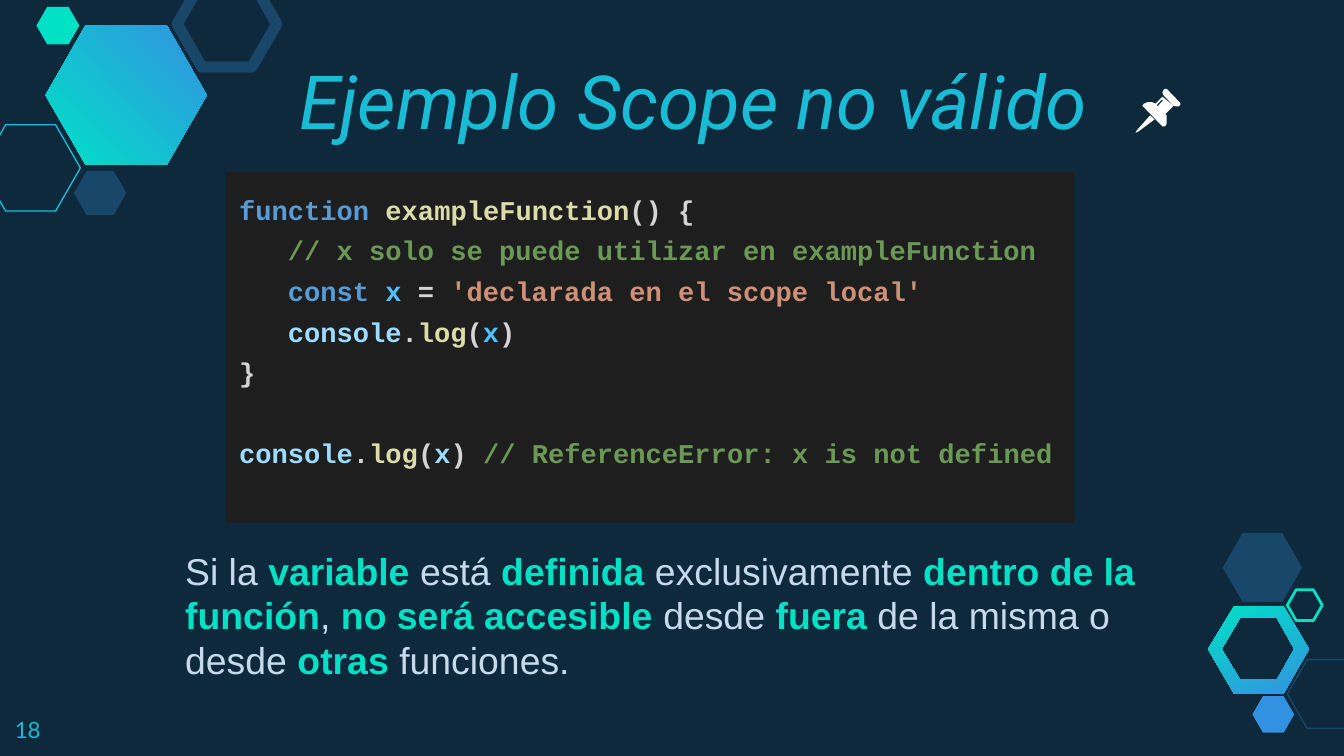
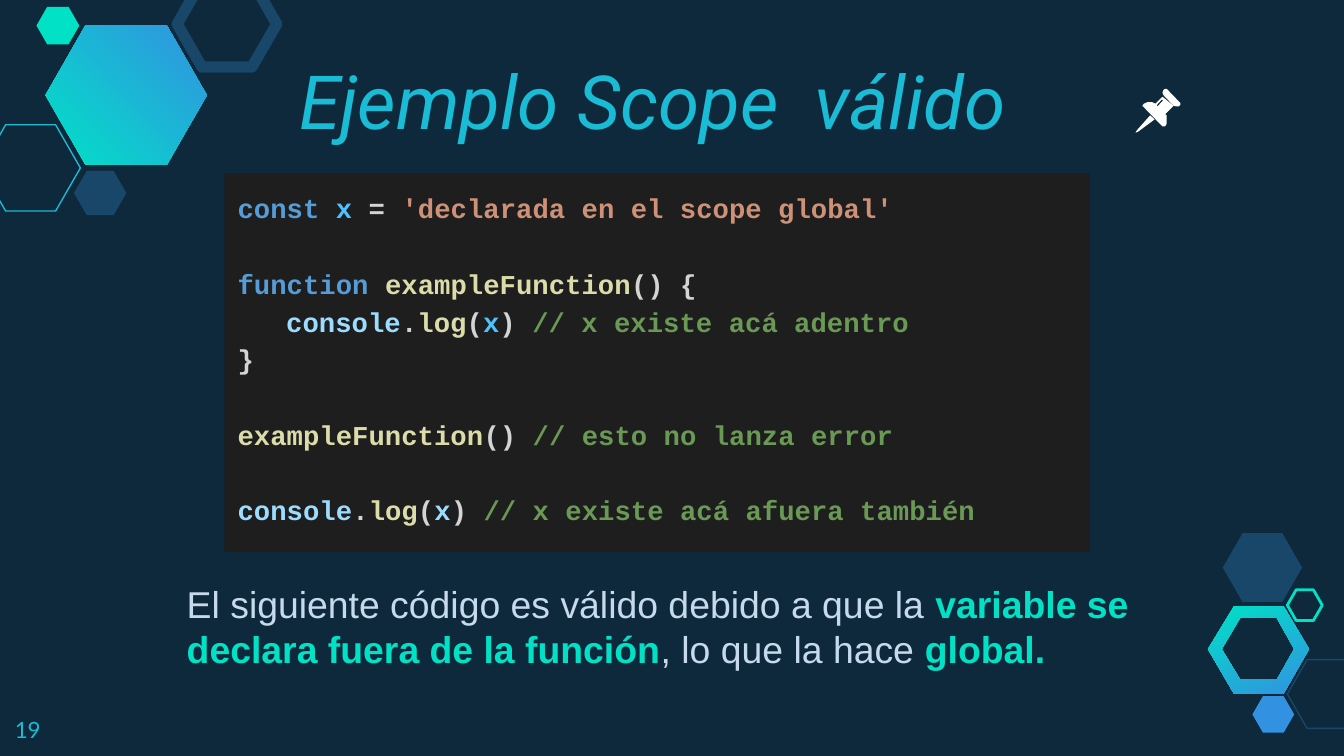
from pptx import Presentation
from pptx import util as u
from pptx.dml.color import RGBColor
from pptx.enum import shapes, text

COLORS = {
    "bg": "0E293C", "cyan": "19BBD5", "teal": "00E1C6", "blue": "3292E1",
    "navy": "184769", "white": "FFFFFF", "body": "C6DAEC", "editor": "1E1E1E",
    "keyword": "569CD6", "plain": "D4D4D4", "func": "DCDCAA", "comment": "6A9955",
    "const": "4FC1FF", "var": "9CDCFE", "string": "CE9178",
}

# Hexagons: left, top, width, height (cm), colour, outline width (None = filled)
HEXAGONS = [
    (-0.36, 2.36, 1.88, 1.63, "cyan", 0.75),
    (1.4, 3.23, 0.99, 0.84, "navy", None),
    (3.35, -0.36, 1.88, 1.63, "navy", 6),
    (0.69, 0.13, 0.81, 0.71, "teal", None),
    (24.33, 12.47, 1.5, 1.3, "navy", 0.75),
    (23.67, 13.16, 0.79, 0.69, "blue", None),
    (23.11, 10.08, 1.5, 1.3, "navy", None),
    (24.33, 11.15, 0.66, 0.58, "teal", 1.5),
]
RING = [
    [(23.32, 13.11), (22.83, 12.27), (23.32, 11.46),
     (24.26, 11.46), (24.74, 12.27), (24.26, 13.11)],
    [(23.44, 12.85), (24.13, 12.85), (24.46, 12.27),
     (24.13, 11.68), (23.44, 11.68), (23.09, 12.27)],
]
PIN_NEEDLE = [[(21.74, 2.18), (21.49, 2.46), (21.46, 2.51), (21.51, 2.49), (21.82, 2.26)]]
PIN_HEAD = [[(22.02, 1.68), (21.99, 1.7), (21.97, 1.75), (21.99, 1.8), (22.18, 2.0),
             (22.22, 2.01), (22.28, 2.01), (22.31, 1.98), (22.31, 1.95), (22.05, 1.68)]]
PIN_BODY = [
    [(21.97, 1.83), (21.84, 1.96), (21.77, 1.93), (21.69, 1.93), (21.62, 1.96),
     (21.59, 2.0), (21.97, 2.39), (22.02, 2.39), (22.05, 2.34), (22.05, 2.18),
     (22.02, 2.16), (22.18, 2.0)],
    [(21.96, 1.88), (21.98, 1.9), (21.88, 2.01), (21.86, 1.99)],
]


def rgb(name):
    return RGBColor.from_string(COLORS[name])


def cm(*values):
    return [u.Cm(v) for v in values]


class Deck:
    """Holds the shared style and the slide being drawn."""

    def __init__(self):
        self.prs = Presentation()
        self.prs.slide_width, self.prs.slide_height = cm(25.4, 14.29)
        self.s = None

    def slide(self, number, title):
        self.s = self.prs.slides.add_slide(self.prs.slide_layouts[6])
        fill = self.s.background.fill
        fill.solid()
        fill.fore_color.rgb = rgb("bg")
        self.gradient(self.outline(RING), 296)
        self.gradient(self.hexagon(0.86, 0.48, 3.05, 2.64, "cyan"), 45)
        for item in HEXAGONS:
            self.hexagon(*item)
        tf = self.textbox(5.41, 1.19, 15.7, 1.8, text.MSO_ANCHOR.BOTTOM)
        self.run(tf.paragraphs[0], title, "Roboto", 40, "cyan", italic=True)
        tf = self.textbox(0.03, 13.28, 1.52, 0.99)
        self.run(tf.paragraphs[0], str(number), "Lato", 12, "cyan")
        pin = [self.outline(part) for part in (PIN_NEEDLE, PIN_HEAD, PIN_BODY)]
        self.s.shapes.add_group_shape(pin)

    def paint(self, sp, color, line_width=None):
        """Fill the shape, or only outline it when a line width is given."""
        sp.shadow.inherit = False
        if line_width is None:
            sp.fill.solid()
            sp.fill.fore_color.rgb = rgb(color)
            sp.line.fill.background()
        else:
            sp.fill.background()
            sp.line.color.rgb = rgb(color)
            sp.line.width = u.Pt(line_width)
        return sp

    def gradient(self, sp, angle):
        sp.fill.gradient()
        sp.fill.gradient_angle = angle
        for stop, color in zip(sp.fill.gradient_stops, ("teal", "blue")):
            stop.color.rgb = rgb(color)

    def hexagon(self, x, y, w, h, color, line_width=None):
        sp = self.s.shapes.add_shape(shapes.MSO_SHAPE.HEXAGON, *cm(x, y, w, h))
        sp.adjustments[0] = 0.287
        return self.paint(sp, color, line_width)

    def outline(self, contours, color="white"):
        """Draw closed contours as one freeform; later contours are holes."""
        builder = self.s.shapes.build_freeform(*cm(*contours[0][0]))
        for i, points in enumerate(contours):
            if i:
                builder.move_to(*cm(*points[0]))
            builder.add_line_segments([cm(*pt) for pt in points[1:]], close=True)
        return self.paint(builder.convert_to_shape(), color)

    def frame(self, sp, anchor):
        tf = sp.text_frame
        tf.word_wrap = True
        tf.vertical_anchor = anchor
        tf.margin_left = tf.margin_right = tf.margin_top = tf.margin_bottom = u.Cm(0.25)
        return tf

    def textbox(self, x, y, w, h, anchor=text.MSO_ANCHOR.TOP):
        return self.frame(self.s.shapes.add_textbox(*cm(x, y, w, h)), anchor)

    def run(self, p, content, font, size, color, bold=False, italic=False):
        r = p.add_run()
        r.text = content
        r.font.name, r.font.size = font, u.Pt(size)
        r.font.bold, r.font.italic = bold, italic
        r.font.color.rgb = rgb(color)

    def body(self, x, y, w, h, content):
        """Write a paragraph in which *starred* parts are highlighted."""
        p = self.textbox(x, y, w, h).paragraphs[0]
        p.line_spacing = u.Pt(23.9)
        for i, part in enumerate(content.split("*")):
            strong = i % 2 == 1
            self.run(p, part, "Arial", 20, "teal" if strong else "body", bold=strong)

    def code(self, x, y, w, h, size, pitch, lines):
        """Each line is (indented, gap after, runs); pitch is the line height."""
        sp = self.s.shapes.add_shape(shapes.MSO_SHAPE.RECTANGLE, *cm(x, y, w, h))
        tf = self.frame(self.paint(sp, "editor"), text.MSO_ANCHOR.TOP)
        for i, (indented, gap, runs) in enumerate(lines):
            p = tf.add_paragraph() if i else tf.paragraphs[0]
            p.alignment = text.PP_ALIGN.LEFT
            p.line_spacing = u.Pt(pitch)
            p.space_after = u.Pt(pitch if gap else 0)
            if indented:
                p._p.get_or_add_pPr().set("marL", str(u.Cm(0.92)))
            for content, color in runs:
                self.run(p, content, "Courier New", size, color, bold=True)


def log_call(x_color, comment=None):
    runs = [("console", "var"), (".", "plain"), ("log", "func"), ("(", "plain"),
            ("x", x_color), (") " if comment else ")", "plain")]
    return runs + [(comment, "comment")] if comment else runs


def declare_x(value):
    return [("const", "keyword"), (" ", "plain"), ("x", "const"),
            (" = ", "plain"), (value, "string")]


FUNCTION_HEAD = [("function", "keyword"), (" ", "plain"),
                 ("exampleFunction", "func"), ("() {", "plain")]
FUNCTION_END = [("}", "plain")]


def main():
    deck = Deck()

    deck.slide(18, "Ejemplo Scope no válido")
    deck.body(3.25, 10.11, 18.87, 3.66,
              "Si la *variable* está *definida* exclusivamente *dentro de la función*, "
              "*no será accesible *desde *fuera* de la misma o desde *otras* funciones.")
    deck.code(4.27, 3.25, 16.03, 6.63, 14.5, 21.75, [
        (False, False, FUNCTION_HEAD),
        (True, False, [("// x solo se puede utilizar en exampleFunction", "comment")]),
        (True, False, declare_x("'declarada en el scope local'")),
        (True, False, log_call("const")),
        (False, True, FUNCTION_END),
        (False, False, log_call("var", "// ReferenceError: x is not defined")),
    ])

    deck.slide(19, "Ejemplo Scope  válido")
    deck.code(4.24, 3.28, 16.36, 7.16, 14.6, 20.2, [
        (False, True, declare_x("'declarada en el scope global'")),
        (False, False, FUNCTION_HEAD),
        (True, False, log_call("const", "// x existe acá adentro")),
        (False, True, FUNCTION_END),
        (False, True, [("exampleFunction", "func"), ("() ", "plain"),
                       ("// esto no lanza error", "comment")]),
        (False, False, log_call("var", "// x existe acá afuera también")),
    ])
    deck.body(3.28, 10.74, 18.87, 2.18,
              "El siguiente código es válido debido a que la *variable se declara fuera "
              "de la función*, lo que la hace *global.*")

    deck.prs.save("out.pptx")


if __name__ == "__main__":
    main()
